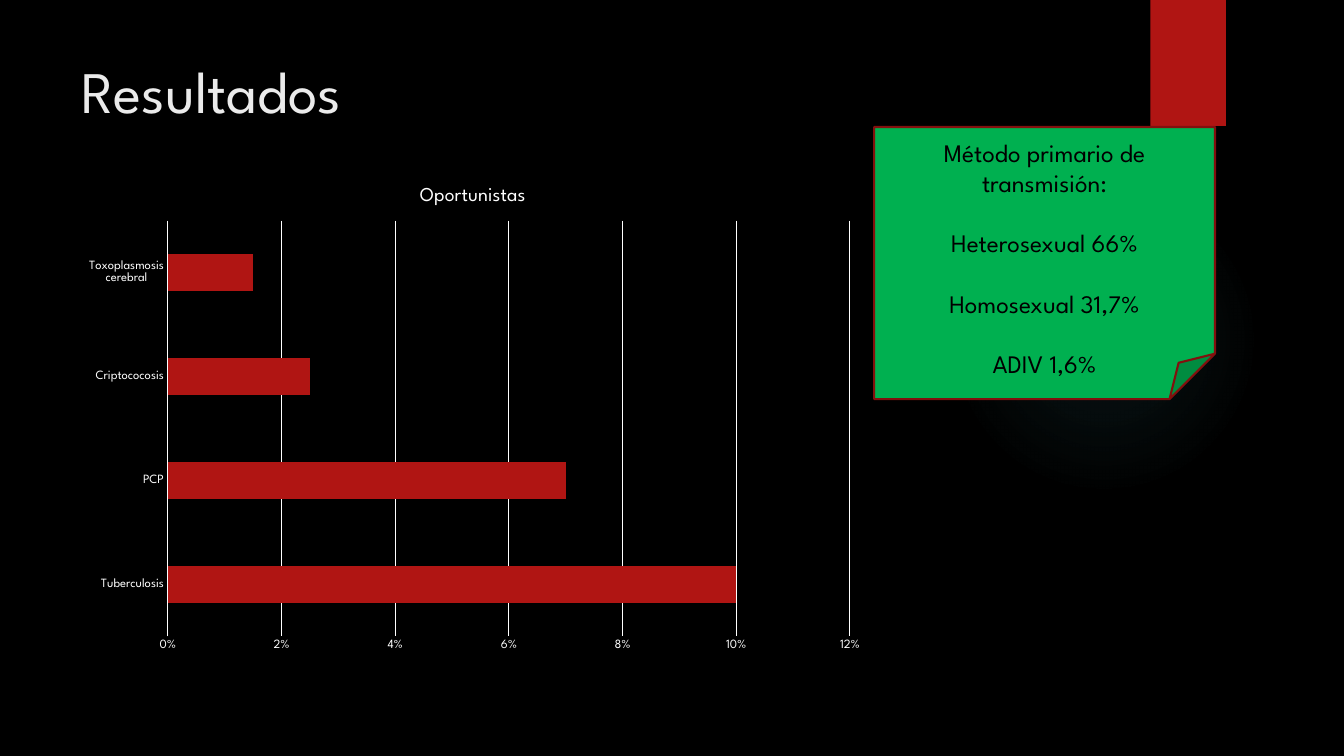
from lxml import etree
from pptx import Presentation
from pptx.chart.data import CategoryChartData
from pptx.dml.color import RGBColor
from pptx.enum.chart import XL_CHART_TYPE, XL_TICK_MARK
from pptx.enum.shapes import MSO_SHAPE
from pptx.enum.text import MSO_ANCHOR, PP_ALIGN
from pptx.oxml import parse_xml
from pptx.oxml.ns import nsdecls
from pptx.util import Inches, Pt

# Content
HEADING = "Resultados"
CHART_TITLE = "Oportunistas"
INFECTIONS = [
    ("Tuberculosis", 0.1),
    ("PCP", 0.07),
    ("Criptococosis", 0.025),
    ("Toxoplasmosis cerebral", 0.015),
]
TRANSMISSION = [
    "Método primario de transmisión:",
    "Heterosexual 66%",
    "Homosexual 31,7%",
    "ADIV 1,6%",
]

# Format: places are left, top, width, height in inches
FONT = "League Spartan"
BLACK, WHITE, RED, GREEN = "000000", "FFFFFF", "B01513", "00B050"
DARK_RED, PALE, TEAL = "82100E", "EBEBEB", "50B9C1"
GLOW_AT = (9.41, 1.83, 3.08, 3.08)
GLOW_STOPS = [(0, 7), (36, 6), (69, 0)]  # position and opacity in percent
RIBBON_AT = (11.41, 0, 0.75, 1.25)
NOTE_AT = (8.67, 1.26, 3.38, 2.7)
NOTE_TEXT_AT = (8.67, 1.31, 3.38, 2.52)
CHART_AT = (0.71, 1.65, 7.96, 4.91)
HEADING_AT = (0.71, 0.49, 10.28, 1.53)
PLOT_LAYOUT = {"x": 0.12, "y": 0.11, "w": 0.85, "h": 0.84}  # shares of the chart


def color(value):
    return RGBColor.from_string(value)


def place(place_in):
    return [Inches(length) for length in place_in]


def style_font(font, size, value):
    for name, setting in {"name": FONT, "size": Pt(size), "bold": False}.items():
        setattr(font, name, setting)
    font.color.rgb = color(value)


def style_line(line, value, width):
    line.color.rgb = color(value)
    line.width = Pt(width)


def add_plain_shape(kind, place_in, fill):
    shape = slide.shapes.add_shape(kind, *place(place_in))
    shape.shadow.inherit = False
    shape.fill.solid()
    shape.fill.fore_color.rgb = color(fill)
    shape.line.fill.background()
    return shape


prs = Presentation()
prs.slide_width, prs.slide_height = Inches(13.33), Inches(7.5)
slide = prs.slides.add_slide(prs.slide_layouts[5])
slide.background.fill.solid()
slide.background.fill.fore_color.rgb = color(BLACK)

# Soft round glow
glow = add_plain_shape(MSO_SHAPE.OVAL, GLOW_AT, TEAL)
stops = "".join(
    f'<a:gs pos="{position * 1000}"><a:srgbClr val="{TEAL}">'
    f'<a:alpha val="{opacity * 1000}"/></a:srgbClr></a:gs>'
    for position, opacity in GLOW_STOPS
)
gradient = parse_xml(
    f'<a:gradFill {nsdecls("a")}><a:gsLst>{stops}</a:gsLst><a:path path="circle">'
    '<a:fillToRect l="50000" t="50000" r="50000" b="50000"/></a:path></a:gradFill>'
)
solid = glow.fill._xPr.solidFill if hasattr(glow.fill._xPr, "solidFill") else None
if solid is None:
    solid = glow.fill._xPr.find("{*}solidFill")
solid.getparent().replace(solid, gradient)

# Ribbon and folded note
add_plain_shape(MSO_SHAPE.RECTANGLE, RIBBON_AT, RED)
note = add_plain_shape(MSO_SHAPE.FOLDED_CORNER, NOTE_AT, GREEN)
style_line(note.line, DARK_RED, 1.5)

# Bar chart
infection_data = CategoryChartData(number_format="0%")
infection_data.categories = [name for name, _ in INFECTIONS]
infection_data.add_series("Series 1", [share for _, share in INFECTIONS])
chart = slide.shapes.add_chart(
    XL_CHART_TYPE.BAR_CLUSTERED, *place(CHART_AT), infection_data
).chart
style_font(chart.font, 10, WHITE)
chart.has_legend = False
chart.has_title = True
chart.chart_title.include_in_layout = False
chart_heading = chart.chart_title.text_frame
chart_heading.text = CHART_TITLE
style_font(chart_heading.paragraphs[0].runs[0].font, 14, WHITE)

plot = chart.plots[0]
plot.gap_width = 182
plot.vary_by_categories = False
bars = plot.series[0].format.fill
bars.solid()
bars.fore_color.rgb = color(RED)

for axis in (chart.category_axis, chart.value_axis):
    axis.major_tick_mark = axis.minor_tick_mark = XL_TICK_MARK.NONE
    style_font(axis.tick_labels.font, 9, WHITE)
chart.category_axis.has_major_gridlines = False
style_line(chart.category_axis.format.line, WHITE, 0.75)

scale = {"minimum_scale": 0, "maximum_scale": 0.12, "major_unit": 0.02,
         "has_major_gridlines": True}
for name, setting in scale.items():
    setattr(chart.value_axis, name, setting)
chart.value_axis.format.line.fill.background()
style_line(chart.value_axis.major_gridlines.format.line, WHITE, 0.75)
chart.value_axis.tick_labels.number_format = "0%"
chart.value_axis.tick_labels.number_format_is_linked = False

# Fixed plot area inside the chart
plot_area = chart._chartSpace.chart.plotArea
for automatic in plot_area.findall("{*}layout"):
    plot_area.remove(automatic)
modes = '<c:layoutTarget val="inner"/><c:xMode val="edge"/><c:yMode val="edge"/>'
sizes = "".join(f'<c:{key} val="{share}"/>' for key, share in PLOT_LAYOUT.items())
plot_area.insert(0, parse_xml(
    f'<c:layout {nsdecls("c")}><c:manualLayout>{modes}{sizes}</c:manualLayout></c:layout>'
))

# Heading
heading = slide.shapes.title
heading.left, heading.top, heading.width, heading.height = place(HEADING_AT)
heading.text_frame.text = HEADING
heading.text_frame.vertical_anchor = MSO_ANCHOR.TOP
heading.text_frame.paragraphs[0].alignment = PP_ALIGN.LEFT
style_font(heading.text_frame.paragraphs[0].runs[0].font, 42, PALE)

# Note text
transmission = slide.shapes.add_textbox(*place(NOTE_TEXT_AT)).text_frame
transmission.word_wrap = True
transmission.text = "\n".join(TRANSMISSION)
for index, paragraph in enumerate(transmission.paragraphs):
    paragraph.alignment = PP_ALIGN.CENTER
    if index:
        paragraph.space_before = Pt(21.6)
    style_font(paragraph.runs[0].font, 18, BLACK)

prs.save("out.pptx")
